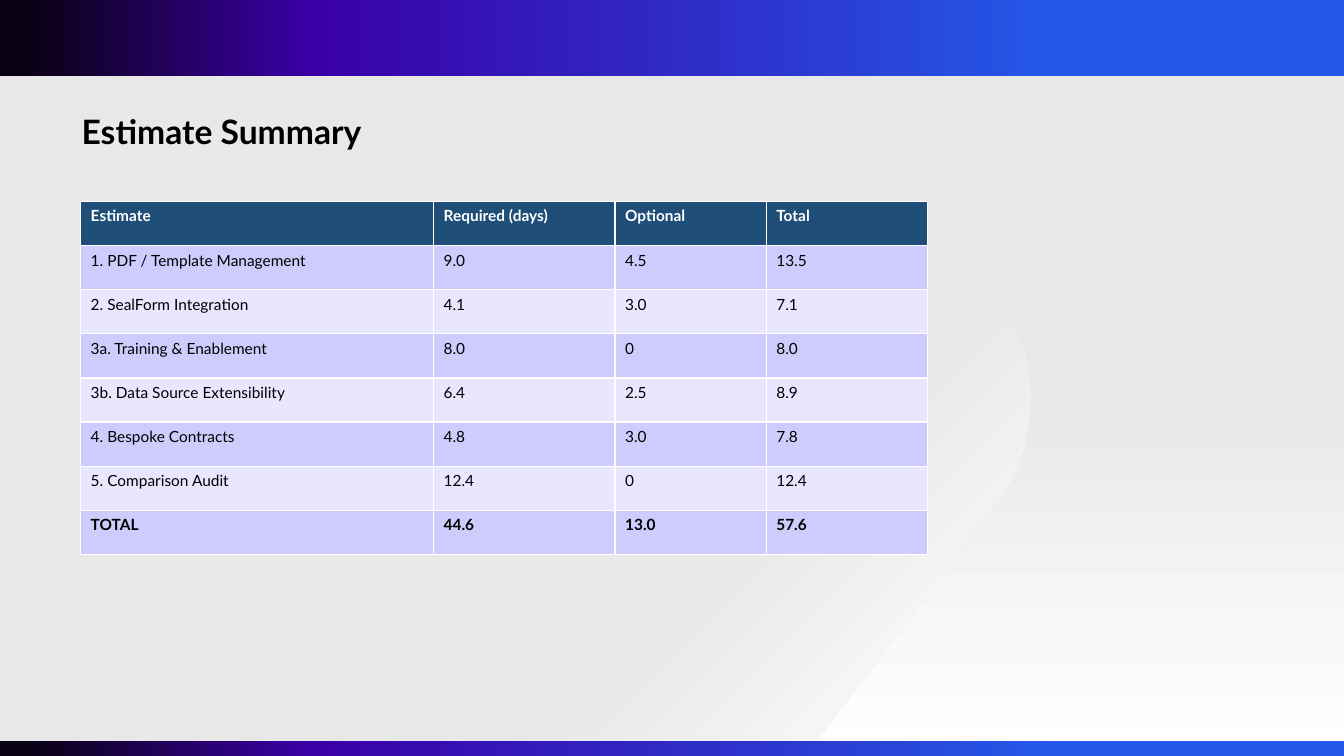
from lxml import etree
from pptx import Presentation
from pptx.dml.color import RGBColor
from pptx.enum.shapes import MSO_SHAPE
from pptx.enum.text import MSO_ANCHOR, MSO_AUTO_SIZE, PP_ALIGN
from pptx.oxml.ns import qn
from pptx.util import Pt

RECTANGLE = MSO_SHAPE.RECTANGLE
BOTTOM = MSO_ANCHOR.BOTTOM
NO_FIT = MSO_AUTO_SIZE.NONE
LEFT = PP_ALIGN.LEFT

PX = 9144  # EMU per px, 100 px to the inch
WIDTH, HEIGHT = 1333, 750
TITLE_ONLY = 5

THEME = {
    "font": "Lato",
    "title_size": Pt(24),
    "table_size": Pt(11),
    "text": RGBColor.from_string("000000"),
    "header_text": RGBColor.from_string("FFFFFF"),
    "header_fill": RGBColor.from_string("1F4E79"),
    "bands": [RGBColor.from_string("CDCCFD"), RGBColor.from_string("E8E7FE")],
    "backdrop": [(50, "E8E8E8"), (100, "FFFFFF")],
    "sweep": [(77, "E8E8E8"), (99, "FFFFFF")],
    "bar": [(21, "2458E9"), (77, "3A00A5"), (98, "0A0114")],
}


def paint_gradient(shape, stops, clockwise_angle):
    """Fill a shape with (percent, colour) stops and drop its line and shadow."""
    shape.shadow.inherit = False
    shape.line.fill.background()
    shape.fill.gradient()
    shape.fill.gradient_angle = 360 - clockwise_angle
    stop_list = shape._element.spPr.find(".//" + qn("a:gsLst"))
    for old_stop in list(stop_list):
        stop_list.remove(old_stop)
    for percent, colour in stops:
        stop = etree.SubElement(stop_list, qn("a:gs"), pos=str(percent * 1000))
        etree.SubElement(stop, qn("a:srgbClr"), val=colour)


def curve_points(start, control_1, control_2, end, steps=12):
    """Points along a cubic Bezier curve, both ends included."""
    points = []
    for step in range(steps + 1):
        t = step / steps
        weights = ((1 - t) ** 3, 3 * t * (1 - t) ** 2, 3 * t * t * (1 - t), t ** 3)
        corners = (start, control_1, control_2, end)
        points.append(tuple(sum(w * c[axis] for w, c in zip(weights, corners))
                            for axis in (0, 1)))
    return points


deck = Presentation()
deck.slide_width, deck.slide_height = WIDTH * PX, HEIGHT * PX
slide = deck.slides.add_slide(deck.slide_layouts[TITLE_ONLY])
shapes = slide.shapes

# Background
backdrop = shapes.add_shape(RECTANGLE, 0, 29 * PX, WIDTH * PX, 721 * PX)
paint_gradient(backdrop, THEME["backdrop"], 90)

sweep_outline = [
    (-548, 4), (778, 4),
    *curve_points((988, 292), (999, 306), (1007, 322), (1012, 338)),
    *curve_points((1014, 342), (1031, 394), (1023, 455), (987, 502)),
    (793, 757), (-556, 757),
    *curve_points((-556, 57), (-556, 39), (-553, 22), (-548, 5)),
]
start, *rest = [(x * PX, y * PX) for x, y in sweep_outline]
builder = shapes.build_freeform(*start)
builder.add_line_segments(rest, close=True)
paint_gradient(builder.convert_to_shape(), THEME["sweep"], 45)

for top, height in ((0, 75), (735, 19)):
    bar = shapes.add_shape(RECTANGLE, 0, top * PX, WIDTH * PX, height * PX)
    paint_gradient(bar, THEME["bar"], 180)

# Title, brought in front of the background
title = shapes.title
shapes._spTree.append(title._element)
title.left, title.top, title.width, title.height = (
    length * PX for length in (81, 96, 1156, 60))
frame = title.text_frame
frame.text = "Estimate Summary"
frame.auto_size = NO_FIT
frame.word_wrap = True
frame.vertical_anchor = BOTTOM
frame.margin_left, frame.margin_right = 0, 10 * PX
frame.margin_top = frame.margin_bottom = 5 * PX
para = frame.paragraphs[0]
para.alignment = LEFT
para.line_spacing = 0.9
para.font.name = THEME["font"]
para.font.size = THEME["title_size"]
para.font.bold = True
para.font.color.rgb = THEME["text"]

# Estimate table
estimates = [
    ("Estimate", "Required (days)", "Optional", "Total"),
    ("1. PDF / Template Management", "9.0", "4.5", "13.5"),
    ("2. SealForm Integration", "4.1", "3.0", "7.1"),
    ("3a. Training & Enablement", "8.0", "0", "8.0"),
    ("3b. Data Source Extensibility", "6.4", "2.5", "8.9"),
    ("4. Bespoke Contracts", "4.8", "3.0", "7.8"),
    ("5. Comparison Audit", "12.4", "0", "12.4"),
    ("TOTAL", "44.6", "13.0", "57.6"),
]
column_widths = [350, 180, 150, 160]
table = shapes.add_table(len(estimates), len(column_widths), 80 * PX, 200 * PX,
                         sum(column_widths) * PX, 350 * PX).table
table.horz_banding = False
for column, width in zip(table.columns, column_widths):
    column.width = width * PX

last_row = len(estimates) - 1
for row, values in enumerate(estimates):
    is_header = row == 0
    for column, value in enumerate(values):
        cell = table.cell(row, column)
        cell.text = value
        cell.fill.solid()
        cell.fill.fore_color.rgb = (
            THEME["header_fill"] if is_header else THEME["bands"][(row - 1) % 2])
        font = cell.text_frame.paragraphs[0].font
        font.name = THEME["font"]
        font.size = THEME["table_size"]
        font.bold = row in (0, last_row)
        font.color.rgb = THEME["header_text"] if is_header else THEME["text"]

deck.save("out.pptx")
